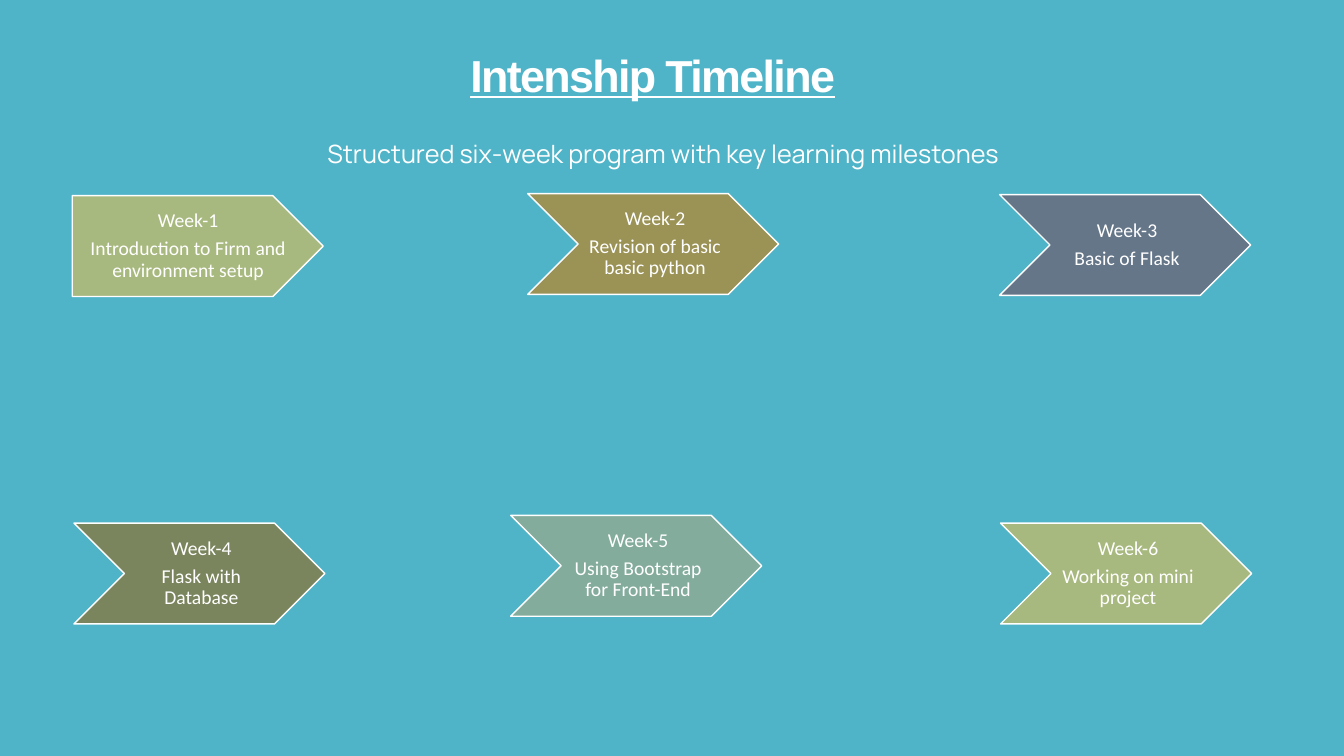
from dataclasses import dataclass

import pptx
import pptx.dml.color
import pptx.enum.shapes
import pptx.enum.text
import pptx.slide
import pptx.text.text
import pptx.util

Pt = pptx.util.Pt
ANCHOR = pptx.enum.text.MSO_ANCHOR
SHAPE = pptx.enum.shapes.MSO_SHAPE
COLORS = {
    "background": "50B4C8",
    "white": "FFFFFF",
    "green": "A8B97F",
    "ochre": "9B9256",
    "slate": "657689",
    "olive": "7A855D",
    "sage": "84AC9D",
}
ARROW_W, ARROW_H = 179.3, 72
CHEVRON_NOTCH = 35.8


@dataclass
class Week:
    left: float
    top: float
    color: str
    topic: str


WEEKS = [
    Week(51.6, 139.8, "green", "Introduction to Firm and environment setup"),
    Week(376.9, 138.3, "ochre", "Revision of basic basic python"),
    Week(714, 139, "slate", "Basic of Flask"),
    Week(52.8, 373.7, "olive", "Flask with Database"),
    Week(364.8, 368.2, "sage", "Using Bootstrap for Front-End"),
    Week(714.7, 373.7, "green", "Working on mini project"),
]


def rgb(name: str) -> pptx.dml.color.RGBColor:
    return pptx.dml.color.RGBColor.from_string(COLORS[name])


def add_text(
    s: pptx.slide.Slide,
    text: str,
    *,
    box: tuple[float, float, float, float],
    font: str,
    size: float,
    bold: bool = False,
    underline: bool = False,
    tracking: float = 0,
    line_spacing: float = 1,
    space_after: float = 0,
    anchor: ANCHOR = ANCHOR.TOP,
    insets: tuple[float, float, float, float] = (7.2, 3.6, 7.2, 3.6),
) -> None:
    tf = s.shapes.add_textbox(*map(Pt, box)).text_frame
    tf.word_wrap = True
    tf.vertical_anchor = anchor
    tf.margin_left, tf.margin_top, tf.margin_right, tf.margin_bottom = map(Pt, insets)
    tf.text = text
    for p in tf.paragraphs:
        p.alignment = pptx.enum.text.PP_ALIGN.CENTER
        p.line_spacing = line_spacing
        p.space_after = Pt(space_after)
        for r in p.runs:
            r.font.name = font
            r.font.size = Pt(size)
            r.font.bold = bold
            r.font.underline = underline
            r.font.color.rgb = rgb("white")
            if tracking:
                r._r.get_or_add_rPr().set("spc", str(round(tracking * 100)))


def add_week(s: pptx.slide.Slide, number: int, week: Week) -> None:
    first = number == 1
    sp = s.shapes.add_shape(
        SHAPE.PENTAGON if first else SHAPE.CHEVRON,
        Pt(week.left), Pt(week.top), Pt(ARROW_W), Pt(ARROW_H),
    )
    sp.shadow.inherit = False
    sp.fill.solid()
    sp.fill.fore_color.rgb = rgb(week.color)
    sp.line.color.rgb = rgb("white")
    sp.line.width = Pt(1)

    notch = 0 if first else CHEVRON_NOTCH
    tip = CHEVRON_NOTCH / 2 if first else CHEVRON_NOTCH
    add_text(
        s,
        f"Week-{number}\n{week.topic}",
        box=(week.left + notch, week.top, ARROW_W - notch - tip, ARROW_H),
        font="Calibri",
        size=14,
        line_spacing=0.9,
        space_after=4.9,
        anchor=ANCHOR.MIDDLE,
        insets=(5.6 if first else 4.2, 2.8, 1.4, 2.8),
    )


def main() -> None:
    prs = pptx.Presentation()
    prs.slide_width, prs.slide_height = Pt(960), Pt(540)
    s = prs.slides.add_slide(prs.slide_layouts[6])
    s.background.fill.solid()
    s.background.fill.fore_color.rgb = rgb("background")

    add_text(
        s, "Intenship Timeline", box=(154.1, 8.6, 624.2, 67), font="Arial", size=32,
        bold=True, underline=True, tracking=-1.2, line_spacing=0.8, anchor=ANCHOR.BOTTOM,
    )
    add_text(
        s, "Structured six-week program with key learning milestones",
        box=(199.4, 95, 548.6, 51.1), font="Manrope", size=18,
    )
    for number, week in enumerate(WEEKS, start=1):
        add_week(s, number, week)
    prs.save("out.pptx")


if __name__ == "__main__":
    main()
